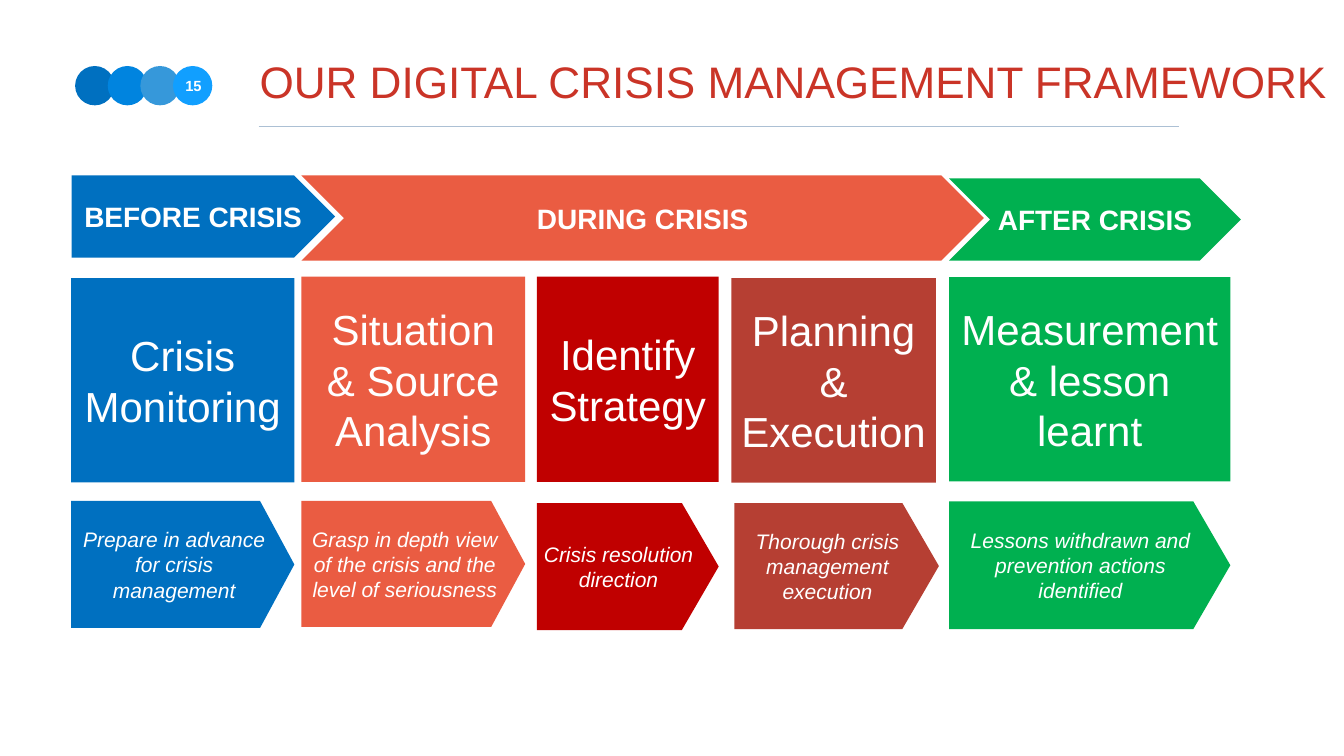
from lxml import etree
from pptx import Presentation
from pptx.dml.color import RGBColor
from pptx.enum.shapes import MSO_CONNECTOR, MSO_SHAPE as SHAPE
from pptx.enum.text import MSO_ANCHOR as ANCHOR, MSO_AUTO_SIZE as AUTO, PP_ALIGN as ALIGN
from pptx.oxml.ns import qn
from pptx.util import Pt

WHITE = RGBColor(0xFF, 0xFF, 0xFF)
BLUE = RGBColor(0x00, 0x70, 0xC0)
ORANGE = RGBColor(0xEA, 0x5C, 0x42)
RED = RGBColor(0xC0, 0x00, 0x00)
BRICK = RGBColor(0xB6, 0x3F, 0x33)
GREEN = RGBColor(0x00, 0xB0, 0x50)
TITLE_RED = RGBColor(0xCA, 0x34, 0x27)
RULE_BLUE = RGBColor(0xAC, 0xC0, 0xD4)
DOTS = [BLUE, RGBColor(0x00, 0x84, 0xDF), RGBColor(0x36, 0x98, 0xDA),
        RGBColor(0x11, 0x9F, 0xFF)]


def write(shape, text, size, color=WHITE, bold=False, italic=False,
          align=ALIGN.CENTER, side=3.6, edge=3.6, wrap=True):
    """Put formatted, vertically centred text in a shape."""
    tf = shape.text_frame
    tf.text = text
    tf.word_wrap = wrap
    tf.auto_size = AUTO.NONE
    tf.vertical_anchor = ANCHOR.MIDDLE
    tf.margin_left = tf.margin_right = Pt(side)
    tf.margin_top = tf.margin_bottom = Pt(edge)
    for p in tf.paragraphs:
        p.alignment = align
        for r in p.runs:
            r.font.name, r.font.size = "Arial", Pt(size)
            r.font.bold, r.font.italic = bold, italic
            r.font.color.rgb = color


def block(kind, x, y, w, h, color, adj=None):
    """Add a flat filled shape without outline or shadow."""
    sp = s.shapes.add_shape(kind, Pt(x), Pt(y), Pt(w), Pt(h))
    sp.shadow.inherit = False
    sp.fill.solid()
    sp.fill.fore_color.rgb = color
    sp.line.fill.background()
    if adj is not None:
        sp.adjustments[0] = adj
    return sp


prs = Presentation()
prs.slide_width, prs.slide_height = Pt(1920), Pt(1080)
s = prs.slides.add_slide(prs.slide_layouts[5])

# Header
for i, color in enumerate(DOTS):
    block(SHAPE.OVAL, 107.3 + 46.6 * i, 94.3, 56.2, 56.2, color)

rule = s.shapes.add_connector(MSO_CONNECTOR.STRAIGHT, Pt(369.4), Pt(180.7), Pt(1684.8), Pt(180.7))
rule.line.color.rgb = RULE_BLUE
rule.line.width = Pt(2)
etree.SubElement(rule._element.spPr, qn("a:effectLst"))

title = s.shapes.title
title.left, title.top, title.width, title.height = Pt(366.5), Pt(71.3), Pt(1553.5), Pt(89.3)
write(title, "OUR DIGITAL CRISIS MANAGEMENT FRAMEWORK", 63, TITLE_RED,
      align=ALIGN.LEFT, side=4.3, edge=4.3)

number = s.shapes.add_textbox(Pt(260.6), Pt(105.8), Pt(31.7), Pt(33.8))
write(number, "15", 21, bold=True, side=4.3, edge=4.3, wrap=False)

# Phases: shape, left, top, width, height, colour, side margin, text
phases = [
    (SHAPE.PENTAGON, 102.2, 250.6, 376.6, 117.4, BLUE, 0, "BEFORE CRISIS"),
    (SHAPE.CHEVRON, 430.6, 250.6, 974.9, 121.7, ORANGE, 3.6, "DURING CRISIS"),
    (SHAPE.CHEVRON, 1355.8, 254.9, 416.9, 117.4, GREEN, 0, "AFTER CRISIS"),
]
for kind, x, y, w, h, color, side, text in phases:
    write(block(kind, x, y, w, h, color), text, 40, bold=True, side=side)

# Steps: left, width, colour, (box top, height, side margin, text),
# (arrow left, top, height, point, text)
steps = [
    (101.5, 319, BLUE, (397.4, 291.6, 3.6, "Crisis Monitoring"),
     (101.5, 715.7, 181.4, 0.27, "Prepare in advance for crisis management")),
    (430.6, 319.7, ORANGE, (395.3, 293, 3.6, "Situation\n& Source Analysis"),
     (430.6, 715.7, 180, 0.27,
      "Grasp in depth view of the crisis and the level of seriousness")),
    (766.8, 259.9, RED, (395.3, 293, 0, "Identify Strategy"),
     (766.8, 718.6, 181.4, 0.29, "Crisis resolution direction")),
    (1044.7, 292.3, BRICK, (397.4, 292.3, 3.6, "Planning\n& Execution"),
     (1049, 718.6, 180, 0.29, "Thorough crisis management execution")),
    (1355.8, 401.8, GREEN, (396, 291.6, 3.6, "Measurement & lesson learnt"),
     (1355.8, 716.4, 182.2, 0.29, "Lessons withdrawn and prevention actions identified")),
]
for x, w, color, (top, h, side, name), (left, y, height, point, goal) in steps:
    write(block(SHAPE.RECTANGLE, x, top, w, h, color), name, 60, side=side)
    write(block(SHAPE.PENTAGON, left, y, w, height, color, point), goal, 30, italic=True)

prs.save("out.pptx")
